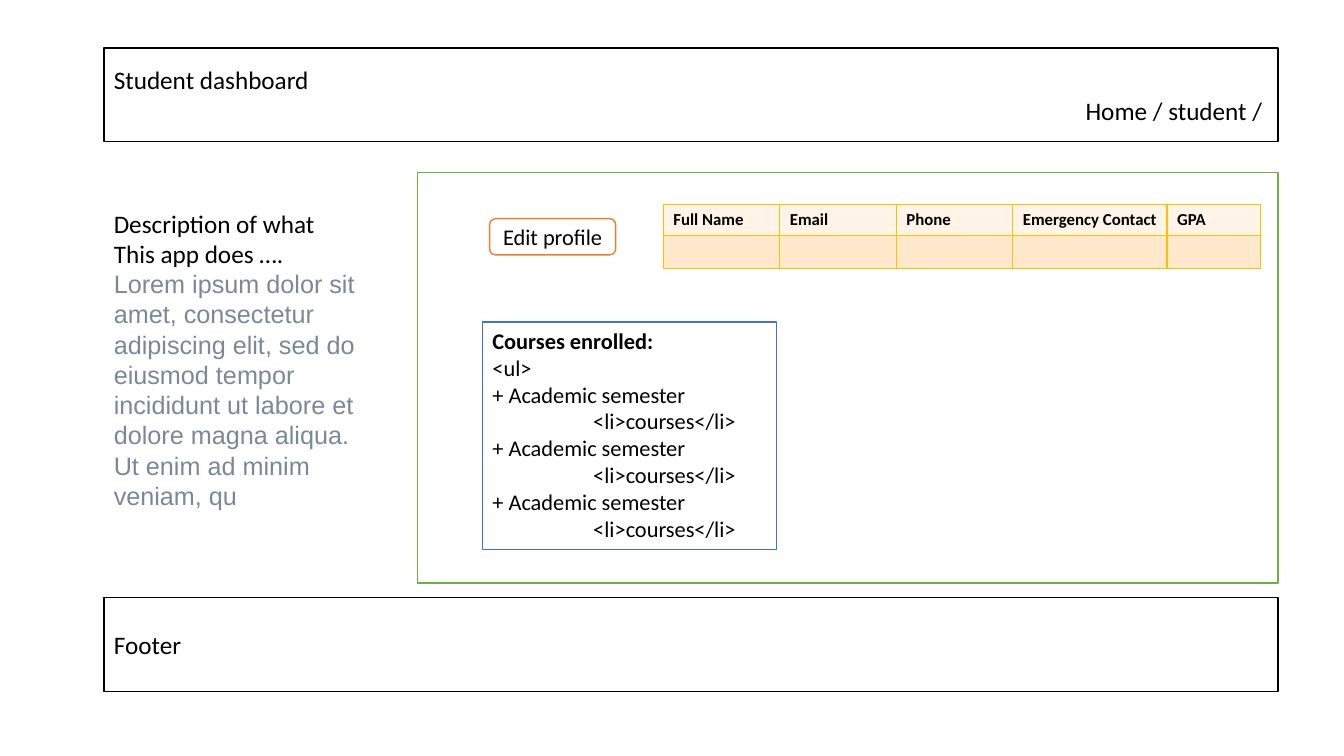
"""Build the wireframe slide of a student dashboard."""
from lxml.etree import SubElement
from pptx import Presentation
from pptx.dml.color import RGBColor
from pptx.enum.shapes import MSO_SHAPE
from pptx.enum.text import MSO_ANCHOR, PP_ALIGN
from pptx.oxml.ns import qn
from pptx.util import Inches, Pt

deck = Presentation()
deck.slide_width, deck.slide_height = Inches(13.33), Inches(7.5)
page = deck.slides.add_slide(deck.slide_layouts[6])
across, down = deck.slide_width / 100, deck.slide_height / 100


def color(hex_code):
    """Turn a hex string into a colour."""
    return RGBColor.from_string(hex_code)


def write(frame, lines, size=18):
    """Fill a text frame with black left-aligned lines."""
    for index, line in enumerate(lines):
        para = frame.add_paragraph() if index else frame.paragraphs[0]
        para.text = line
        para.alignment = PP_ALIGN.LEFT
        para.font.name, para.font.size = "Calibri", Pt(size)
        para.font.color.rgb = color("000000")
        para._p.get_or_add_pPr().set("defTabSz", str(Inches(1)))
    return frame.paragraphs


left, span_width, bar_height = 7.73, 87.35, 12.4
panels = [
    ("header", left, 6.35, span_width, bar_height, "000000", 18,
     ["Student dashboard", "Home / student / "]),
    ("footer", left, 79.07, span_width, bar_height, "000000", 18, ["Footer"]),
    ("content", 31.05, 22.85, 64.03, 54.27, "70AD47", 18, []),
    ("button", 36.43, 28.93, 9.38, 4.8, "ED7D31", 16, ["Edit profile"]),
    ("courses", 35.9, 42.6, 21.9, 30.13, "4472C4", 16,
     ["Courses enrolled:", "<ul>"] + ["+ Academic semester", "\t<li>courses</li>"] * 3),
]
paragraphs = {}
for part, x, y, width, height, outline, size, lines in panels:
    kind = MSO_SHAPE.ROUNDED_RECTANGLE if part == "button" else MSO_SHAPE.RECTANGLE
    box = page.shapes.add_shape(
        kind, int(x * across), int(y * down), int(width * across), int(height * down))
    box.shadow.inherit = False
    box.fill.solid()
    box.fill.fore_color.rgb = color("FFFFFF")
    box.line.color.rgb = color(outline)
    box.line.width = Pt(1)
    box.text_frame.vertical_anchor = MSO_ANCHOR.TOP if part == "courses" else MSO_ANCHOR.MIDDLE
    paragraphs[part] = write(box.text_frame, lines, size)
paragraphs["header"][1].alignment = PP_ALIGN.RIGHT
paragraphs["button"][0].alignment = PP_ALIGN.CENTER
paragraphs["courses"][0].font.bold = True

description = page.shapes.add_textbox(
    int(left * across), int(26.85 * down), int(19.8 * across), int(45.73 * down))
description.text_frame.word_wrap = True
lorem = write(description.text_frame, [
    "Description of what",
    "This app does ….",
    "Lorem ipsum dolor sit amet, consectetur adipiscing elit, sed do eiusmod tempor "
    "incididunt ut labore et dolore magna aliqua. Ut enim ad minim veniam, qu",
])[2]
lorem.font.name = "Arial"
lorem.font.color.rgb = color("7B8898")

headings = ["Full Name", "Email", "Phone", "Emergency Contact", "GPA"]
column_shares = [8.67, 8.67, 8.67, 11.48, 6.98]
row_shares = [4, 4.4]
table = page.shapes.add_table(
    len(row_shares), len(headings), int(49.35 * across), int(27.1 * down),
    int(sum(column_shares) * across), int(sum(row_shares) * down)).table
for column, share in zip(table.columns, column_shares):
    column.width = int(share * across)
for row, share, texts, shade in zip(
        table.rows, row_shares, [headings, [""] * len(headings)], ["FFF4E7", "FFE8CC"]):
    row.height = int(share * down)
    for cell, text in zip(row.cells, texts):
        write(cell.text_frame, [text], 12)[0].font.bold = True
        properties = cell._tc.get_or_add_tcPr()
        for side in ("lnL", "lnR", "lnT", "lnB"):
            border = SubElement(properties, qn(f"a:{side}"), w=str(Pt(1)))
            SubElement(SubElement(border, qn("a:solidFill")), qn("a:srgbClr"), val="FFC000")
        cell.fill.solid()
        cell.fill.fore_color.rgb = color(shade)

deck.save("out.pptx")
